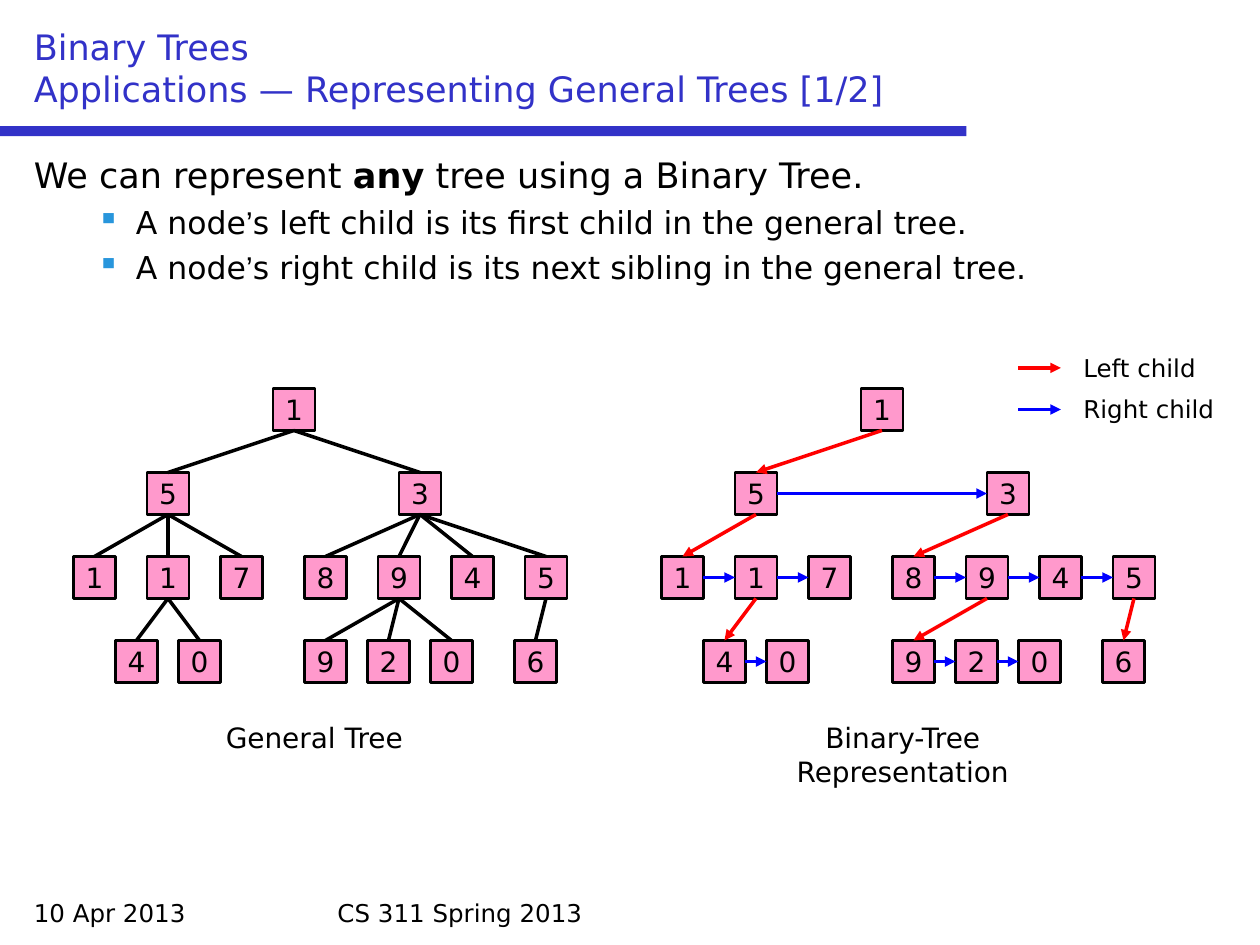
"""Build a slide that shows a general tree beside its binary-tree representation."""
from collections import namedtuple
from dataclasses import dataclass
from itertools import pairwise

from lxml.etree import SubElement
from pptx import Presentation
from pptx.dml.color import RGBColor
from pptx.enum.shapes import MSO_CONNECTOR as Connector, MSO_SHAPE as Shape
from pptx.enum.text import MSO_ANCHOR as Anchor, PP_ALIGN as Align
from pptx.oxml.ns import qn
from pptx.util import Inches, Pt


@dataclass(frozen=True)
class Theme:
    font: str = "DejaVu Sans"
    quote_font: str = "Arial"
    ink: str = "000000"
    title: str = "3232C8"
    bullet: str = "2896DC"
    node: str = "FF99CC"
    left: str = "FF0000"
    right: str = "0000FF"
    heading_size: int = 20
    point_size: int = 18
    node_size: int = 16
    small_size: int = 14
    border: float = 1.25
    stroke: int = 2


Node = namedtuple("Node", "label column children", defaults=[()])

UNIT = 1 / 12
SIDE = 4 * UNIT
ROW_PITCH = 8 * UNIT
TREE_TOP = 37 * UNIT
TREE_SHIFT = 56 * UNIT

TREE = Node("1", 28, (
    Node("5", 16, (
        Node("1", 9),
        Node("1", 16, (Node("4", 13), Node("0", 19))),
        Node("7", 23))),
    Node("3", 40, (
        Node("8", 31),
        Node("9", 38, (Node("9", 31), Node("2", 37), Node("0", 43))),
        Node("4", 45),
        Node("5", 52, (Node("6", 51),))))))


class Page:
    def __init__(self, slide, theme):
        self.shapes = slide.shapes
        self.theme = theme

    def style(self, para, size, color=None):
        for span in para.runs:
            span.font.name = self.theme.font
            span.font.size = Pt(size)
            span.font.color.rgb = RGBColor.from_string(color or self.theme.ink)

    def text(self, place, words, size, color=None, align=Align.LEFT, anchor=Anchor.TOP):
        box = self.shapes.add_textbox(*map(Inches, place))
        frame = box.text_frame
        frame.word_wrap = True
        frame.vertical_anchor = anchor
        frame.text = words
        para = frame.paragraphs[0]
        para.alignment = align
        self.style(para, size, color)
        return frame

    def rectangle(self, place, fill, border=None):
        box = self.shapes.add_shape(Shape.RECTANGLE, *map(Inches, place))
        box.shadow.inherit = False
        box.fill.solid()
        box.fill.fore_color.rgb = RGBColor.from_string(fill)
        if border:
            box.line.color.rgb = RGBColor.from_string(border)
            box.line.width = Pt(self.theme.border)
        else:
            box.line.fill.background()
        return box

    def node(self, label, center, top):
        place = (center - SIDE / 2, top, SIDE, SIDE)
        frame = self.rectangle(place, self.theme.node, self.theme.ink).text_frame
        frame.word_wrap = False
        frame.vertical_anchor = Anchor.MIDDLE
        frame.text = label
        frame.paragraphs[0].alignment = Align.CENTER
        self.style(frame.paragraphs[0], self.theme.node_size)

    def line(self, start, end, color, arrow=True):
        link = self.shapes.add_connector(Connector.STRAIGHT, *map(Inches, (*start, *end)))
        link.line.color.rgb = RGBColor.from_string(color)
        link.line.width = Pt(self.theme.stroke)
        if arrow:
            SubElement(link.line._get_or_add_ln(), qn("a:tailEnd"), type="triangle")
        SubElement(link._element.spPr, qn("a:effectLst"))

    def body(self, place, lead, points):
        frame = self.text(place, "", self.theme.heading_size)
        para = frame.paragraphs[0]
        for words in lead:
            para.add_run().text = words
        self.style(para, self.theme.heading_size)
        para.runs[1].font.bold = True
        self.indent(para, 0.38, 0.38)
        for point in points:
            para = frame.add_paragraph()
            para.level = 1
            para.space_before = Pt(4.2)
            before, after = point.split("’")
            for words in (before, "’", after):
                para.add_run().text = words
            self.style(para, self.theme.point_size)
            para.runs[1].font.name = self.theme.quote_font
            self.bullet(self.indent(para, 0.81, 0.31))

    def indent(self, para, margin, hanging):
        properties = para._p.get_or_add_pPr()
        properties.set("marL", str(Inches(margin)))
        properties.set("indent", str(-Inches(hanging)))
        return properties

    def bullet(self, properties):
        color = SubElement(properties, qn("a:buClr"))
        SubElement(color, qn("a:srgbClr"), val=self.theme.bullet)
        SubElement(properties, qn("a:buChar"), char="▪")

    def nodes(self, node, shift=0, row=0):
        self.node(node.label, node.column * UNIT + shift, TREE_TOP + row * ROW_PITCH)
        for child in node.children:
            self.nodes(child, shift, row + 1)

    def general_links(self, node, row=0):
        bottom = TREE_TOP + row * ROW_PITCH + SIDE
        for child in node.children:
            self.line((node.column * UNIT, bottom),
                      (child.column * UNIT, bottom + ROW_PITCH - SIDE),
                      self.theme.ink, arrow=False)
            self.general_links(child, row + 1)

    def binary_links(self, node, shift, row=0):
        if not node.children:
            return
        bottom = TREE_TOP + row * ROW_PITCH + SIDE
        child_top = bottom + ROW_PITCH - SIDE
        middle = child_top + SIDE / 2
        centers = [child.column * UNIT + shift for child in node.children]
        self.line((node.column * UNIT + shift, bottom), (centers[0], child_top), self.theme.left)
        for here, following in pairwise(centers):
            self.line((here + SIDE / 2, middle), (following - SIDE / 2, middle), self.theme.right)
        for child in node.children:
            self.binary_links(child, shift, row + 1)


theme = Theme()
deck = Presentation()
deck.slide_width, deck.slide_height = Inches(10), Inches(7.5)
page = Page(deck.slides.add_slide(deck.slide_layouts[6]), theme)

page.rectangle((0, 1, 7.67, 0.08), theme.title)
page.text((0.17, 7.08, 2.33, 0.33), "10 Apr 2013", theme.small_size)
page.text((2.58, 7.08, 4.83, 0.33), "CS 311 Spring 2013", theme.small_size)
page.text((0.17, 0.17, 9.67, 0.75),
          "Binary Trees\vApplications — Representing General Trees [1/2]",
          theme.heading_size, theme.title, anchor=Anchor.BOTTOM)
page.body((0.17, 1.17, 9.67, 5.83),
          ("We can represent ", "any", " tree using a Binary Tree."),
          ("A node’s left child is its first child in the general tree.",
           "A node’s right child is its next sibling in the general tree."))

page.nodes(TREE)
page.general_links(TREE)
page.nodes(TREE, TREE_SHIFT)
page.binary_links(TREE, TREE_SHIFT)

for left, height, caption in ((1.33, 0.37, "General Tree"),
                              (6, 0.64, "Binary-Tree Representation")):
    page.text((left, 5.67, 2.33, height), caption, theme.node_size, align=Align.CENTER)

for top, color, label in ((2.75, theme.left, "Left child"),
                          (3.08, theme.right, "Right child")):
    page.line((8.08, top + 0.17), (8.42, top + 0.17), color)
    page.text((8.5, top, 1.25, 0.34), label, theme.small_size)

deck.save("out.pptx")
